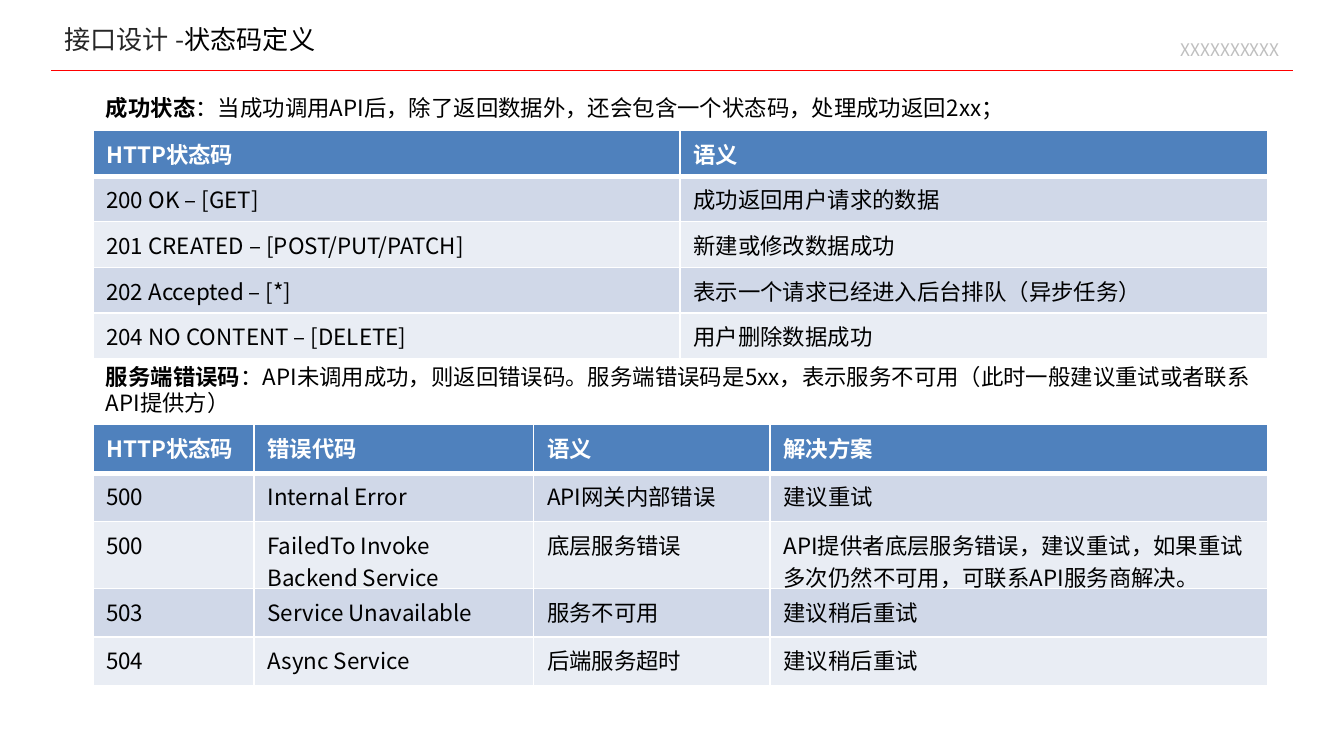
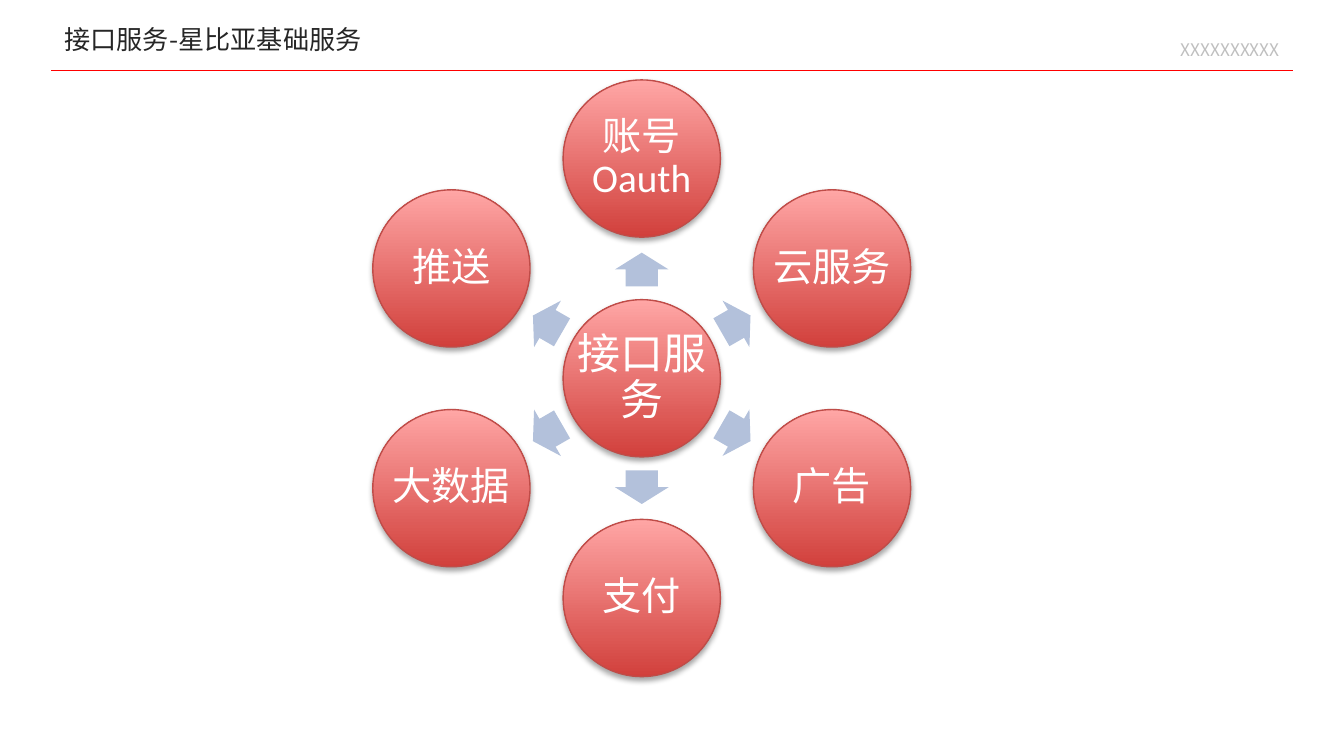
"""Build two slides on interface design: status code tables and a hub of basic services."""
from math import cos, radians, sin

from lxml.etree import SubElement
from pptx import Presentation
from pptx.dml.color import RGBColor
from pptx.enum.shapes import MSO_CONNECTOR, MSO_SHAPE
from pptx.enum.text import MSO_ANCHOR, MSO_AUTO_SIZE, PP_ALIGN
from pptx.oxml import parse_xml
from pptx.oxml.ns import nsdecls, qn
from pptx.util import Inches, Pt

CJK_FONT, LATIN_FONT = "Noto Sans CJK SC", "Calibri"
BLACK, WHITE, TITLE_GREY, LABEL_GREY = "000000", "FFFFFF", "262626", "BFBFBF"
RULE_RED, HEADER_BLUE, ARROW_BLUE = "FF0000", "4F81BD", "B3C1DB"
BANDS = ["D0D8E8", "E9EDF4"]
CIRCLE_STOPS, CIRCLE_LINE = ["D1403C", "FFA6A5"], "BF4C48"
HEADER_BORDERS = {"a:lnL": 1, "a:lnR": 1, "a:lnT": 1, "a:lnB": 3}


def add_run(paragraph, text, size, color, bold=False, font=CJK_FONT):
    run = paragraph.add_run()
    run.text = text
    run.font.size = Pt(size)
    run.font.bold = bold
    run.font.name = font
    run.font.color.rgb = RGBColor.from_string(color)
    SubElement(run.font._element, qn("a:ea")).set("typeface", font)


def add_text_frame(slide, left, top, width, height):
    box = slide.shapes.add_textbox(Inches(left), Inches(top), Inches(width), Inches(height))
    box.text_frame.word_wrap = True
    return box.text_frame


presentation = Presentation()
presentation.slide_width = Inches(10)
presentation.slide_height = Inches(10) * 9 // 16

titles = [
    [("接口设计 -", TITLE_GREY), ("状态码定义", BLACK)],
    [("接口服务-星比亚基础服务", TITLE_GREY)],
]
slides = []
for title_runs in titles:
    slide = presentation.slides.add_slide(presentation.slide_layouts[5])
    slides.append(slide)
    title = slide.shapes.title
    title.left, title.top = Inches(0.38), Inches(0.14)
    title.width, title.height = Inches(4.38), Inches(0.3)
    title.text_frame.auto_size = MSO_AUTO_SIZE.NONE
    title.text_frame.vertical_anchor = MSO_ANCHOR.MIDDLE
    paragraph = title.text_frame.paragraphs[0]
    paragraph.alignment = PP_ALIGN.LEFT
    for text, color in title_runs:
        add_run(paragraph, text, 14, color)

    rule = slide.shapes.add_connector(
        MSO_CONNECTOR.STRAIGHT, Inches(0.38), Inches(0.52), Inches(9.62), Inches(0.52))
    rule.line.color.rgb = RGBColor.from_string(RULE_RED)
    rule.line.width = Pt(0.25)
    SubElement(rule._element.spPr, qn("a:effectLst"))

    paragraph = add_text_frame(slide, 5.66, 0.24, 3.96, 0.22).paragraphs[0]
    paragraph.alignment = PP_ALIGN.RIGHT
    add_run(paragraph, "XXXXXXXXXX", 9.3, LABEL_GREY)

status_slide, service_slide = slides

line_height = 14.4
introductions = [
    ("成功状态", "：当成功调用API后，除了返回数据外，还会包含一个状态码，处理成功返回2xx；"),
    ("服务端错误码", "：API未调用成功，则返回错误码。服务端错误码是5xx，"
                  "表示服务不可用（此时一般建议重试或者联系API提供方）"),
]
text_frame = add_text_frame(status_slide, 0.69, 0.65, 8.93, 4.26)
for index, (label, explanation) in enumerate(introductions):
    paragraph = text_frame.add_paragraph() if index else text_frame.paragraphs[0]
    paragraph.line_spacing = Pt(line_height)
    paragraph.space_before = Pt(9 * line_height * index)
    add_run(paragraph, label, 12, BLACK, bold=True)
    add_run(paragraph, explanation, 12, BLACK)

tables = [
    (0.97, 1.69, [4.37, 4.37], [0.34] * 5, [
        ["HTTP状态码", "语义"],
        ["200 OK – [GET]", "成功返回用户请求的数据"],
        ["201 CREATED – [POST/PUT/PATCH]", "新建或修改数据成功"],
        ["202 Accepted – [*]", "表示一个请求已经进入后台排队（异步任务）"],
        ["204 NO CONTENT – [DELETE]", "用户删除数据成功"],
    ]),
    (3.16, 1.94, [1.2, 2.08, 1.76, 3.7], [0.36, 0.36, 0.44, 0.36, 0.36], [
        ["HTTP状态码", "错误代码", "语义", "解决方案"],
        ["500", "Internal Error", "API网关内部错误", "建议重试"],
        ["500", "FailedTo Invoke Backend Service", "底层服务错误",
         "API提供者底层服务错误，建议重试，如果重试多次仍然不可用，可联系API服务商解决。"],
        ["503", "Service Unavailable", "服务不可用", "建议稍后重试"],
        ["504", "Async Service", "后端服务超时", "建议稍后重试"],
    ]),
]
for top, frame_height, widths, heights, rows in tables:
    table_shape = status_slide.shapes.add_table(
        len(rows), len(widths), Inches(0.69), Inches(top), Inches(8.75), Inches(frame_height))
    table = table_shape.table
    for column, width in zip(table.columns, widths):
        column.width = Inches(width)
    for row_index, texts in enumerate(rows):
        table.rows[row_index].height = Inches(heights[row_index])
        is_header = row_index == 0
        fill_color = HEADER_BLUE if is_header else BANDS[(row_index - 1) % 2]
        for column_index, text in enumerate(texts):
            cell = table.cell(row_index, column_index)
            if is_header:
                properties = cell._tc.get_or_add_tcPr()
                for tag, points in HEADER_BORDERS.items():
                    border = SubElement(properties, qn(tag), w=str(Pt(points)))
                    border_fill = SubElement(border, qn("a:solidFill"))
                    SubElement(border_fill, qn("a:srgbClr"), val=WHITE)
            cell.fill.solid()
            cell.fill.fore_color.rgb = RGBColor.from_string(fill_color)
            add_run(cell.text_frame.paragraphs[0], text, 12,
                    WHITE if is_header else BLACK, bold=is_header)
    table_shape.width, table_shape.height = Inches(8.75), Inches(frame_height)

center_x, center_y = 4.775, 2.815
diameter, orbit, arrow_orbit = 1.17, 1.635, 0.81
arrow_length, arrow_breadth = 0.25, 0.4
services = ["账号Oauth", "云服务", "广告", "支付", "大数据", "推送"]
circles = [("接口服务", 23, center_x, center_y)]
for index, service in enumerate(services):
    angle = (270 + index * 360 / len(services)) % 360
    across, down = cos(radians(angle)), sin(radians(angle))
    circles.append((service, 21, center_x + orbit * across, center_y + orbit * down))
    arrow = service_slide.shapes.add_shape(
        MSO_SHAPE.RIGHT_ARROW,
        Inches(center_x + arrow_orbit * across - arrow_length / 2),
        Inches(center_y + arrow_orbit * down - arrow_breadth / 2),
        Inches(arrow_length), Inches(arrow_breadth))
    arrow.rotation = angle
    arrow.adjustments[0], arrow.adjustments[1] = 0.6, 0.5
    arrow.shadow.inherit = False
    arrow.fill.solid()
    arrow.fill.fore_color.rgb = RGBColor.from_string(ARROW_BLUE)
    arrow.line.fill.background()

for label, size, x, y in circles:
    left, top = x - diameter / 2, y - diameter / 2
    circle = service_slide.shapes.add_shape(
        MSO_SHAPE.OVAL, Inches(left), Inches(top), Inches(diameter), Inches(diameter))
    circle.fill.gradient()
    circle.fill.gradient_angle = 90
    for stop, color in zip(circle.fill.gradient_stops, CIRCLE_STOPS):
        stop.color.rgb = RGBColor.from_string(color)
    circle.line.color.rgb = RGBColor.from_string(CIRCLE_LINE)
    circle.line.width = Pt(0.75)
    circle.shadow.inherit = False
    circle._element.spPr.find(qn("a:effectLst")).append(parse_xml(
        f'<a:outerShdw {nsdecls("a")} blurRad="{Pt(3.1)}" dist="{Pt(1.8)}" dir="5400000" '
        'rotWithShape="0"><a:srgbClr val="000000"><a:alpha val="35000"/></a:srgbClr>'
        '</a:outerShdw>'))

    text_frame = add_text_frame(service_slide, left, top, diameter, diameter)
    text_frame.vertical_anchor = MSO_ANCHOR.MIDDLE
    text_frame.margin_left = text_frame.margin_right = Inches(0.03)
    text_frame.margin_top = text_frame.margin_bottom = Inches(0.03)
    paragraph = text_frame.paragraphs[0]
    paragraph.alignment = PP_ALIGN.CENTER
    paragraph.line_spacing = 0.9
    add_run(paragraph, label, size, WHITE, font=LATIN_FONT)

presentation.save("out.pptx")
